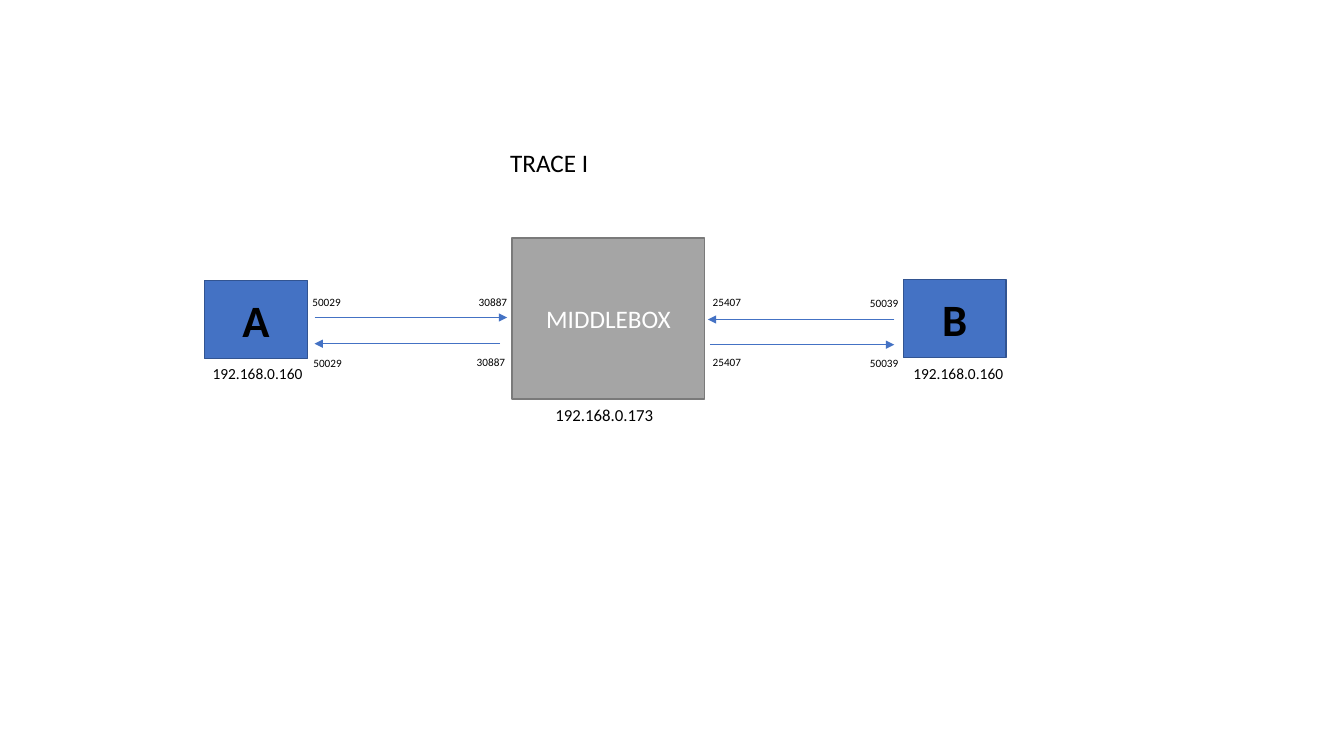
from pptx import Presentation
from pptx.dml.color import RGBColor
from pptx.enum.shapes import MSO_CONNECTOR as Connector, MSO_SHAPE as Shape
from pptx.enum.text import MSO_ANCHOR as Anchor, MSO_AUTO_SIZE as AutoSize, PP_ALIGN as Align
from pptx.oxml.ns import qn
from pptx.util import Inches, Pt
from lxml.etree import SubElement

COLOURS = {
    "host": "4472C4",
    "host_edge": "325491",
    "middlebox": "A5A5A5",
    "middlebox_edge": "7A7A7A",
    "black": "000000",
    "white": "FFFFFF",
}


def colour(name):
    """Return the named colour."""
    return RGBColor.from_string(COLOURS[name])


def write(shape, text, size, ink="black", bold=False, align=Align.LEFT, anchor=Anchor.TOP):
    """Put one formatted line of text in a shape."""
    frame = shape.text_frame
    frame_format = {"word_wrap": True, "auto_size": AutoSize.NONE, "vertical_anchor": anchor}
    for name, value in frame_format.items():
        setattr(frame, name, value)
    para = frame.paragraphs[0]
    para.alignment = align
    span = para.add_run()
    span.text = text
    for name, value in {"name": "Calibri", "size": Pt(size), "bold": bold}.items():
        setattr(span.font, name, value)
    span.font.color.rgb = colour(ink)


def place(shape, left, top, width, height):
    """Move and size a shape, in inches."""
    bounds = {"left": left, "top": top, "width": width, "height": height}
    for name, value in bounds.items():
        setattr(shape, name, Inches(value))


def add_node(page, text, bounds, kind, size, ink, bold):
    """Draw a labelled network node."""
    node = page.shapes.add_shape(Shape.RECTANGLE, *map(Inches, bounds))
    node.shadow.inherit = False
    node.fill.solid()
    node.fill.fore_color.rgb = colour(kind)
    node.line.color.rgb = colour(kind + "_edge")
    node.line.width = Pt(1)
    write(node, text, size, ink, bold, Align.CENTER, Anchor.MIDDLE)


def add_label(page, text, bounds, size):
    """Add a plain text label."""
    write(page.shapes.add_textbox(*map(Inches, bounds)), text, size)


def add_arrow(page, start, end, level):
    """Draw a horizontal arrow with a triangle at its end."""
    ends = map(Inches, (start, level, end, level))
    arrow = page.shapes.add_connector(Connector.STRAIGHT, *ends)
    arrow.line.color.rgb = colour("host")
    arrow.line.width = Pt(0.5)
    SubElement(arrow.line._get_or_add_ln(), qn("a:tailEnd"), type="triangle")
    SubElement(arrow._element.spPr, qn("a:effectLst"))


def main():
    """Build the trace diagram."""
    deck = Presentation()
    deck.slide_width, deck.slide_height = Inches(13.33), Inches(7.5)
    page = deck.slides.add_slide(deck.slide_layouts[5])

    title = page.shapes.title
    place(title, 4.96, 1.41, 2.16, 0.4)
    write(title, "TRACE I", 18)

    for text, left, top in (("A", 2.03, 2.78), ("B", 8.96, 2.77)):
        add_node(page, text, (left, top, 1.02, 0.78), "host", 32, "black", True)
    add_node(page, "MIDDLEBOX", (5.08, 2.36, 1.91, 1.6), "middlebox", 18, "white", False)

    addresses = (
        ("192.168.0.160", 2.01, 3.56, 11),
        ("192.168.0.173", 5.41, 3.97, 12),
        ("192.168.0.160", 8.96, 3.56, 11),
    )
    for text, left, top, size in addresses:
        add_label(page, text, (left, top, 2.1, 0.3), size)

    arrows = ((3.12, 5.03, 3.15), (4.96, 3.12, 3.41), (8.87, 7.02, 3.17), (7.04, 8.87, 3.42))
    for start, end, level in arrows:
        add_arrow(page, start, end, level)

    ports = (
        ("50029", (3, 3.01), 2.88, 3.49, 0.63),
        ("30887", (4.65, 4.63), 2.88, 3.48, 0.63),
        ("25407", (6.97, 6.97), 2.88, 3.48, 0.63),
        ("50039", (8.53, 8.53), 2.89, 3.49, 0.5),
    )
    for text, lefts, upper, lower, width in ports:
        for left, top in zip(lefts, (upper, lower)):
            add_label(page, text, (left, top, width, 0.24), 8)

    deck.save("out.pptx")


if __name__ == "__main__":
    main()
